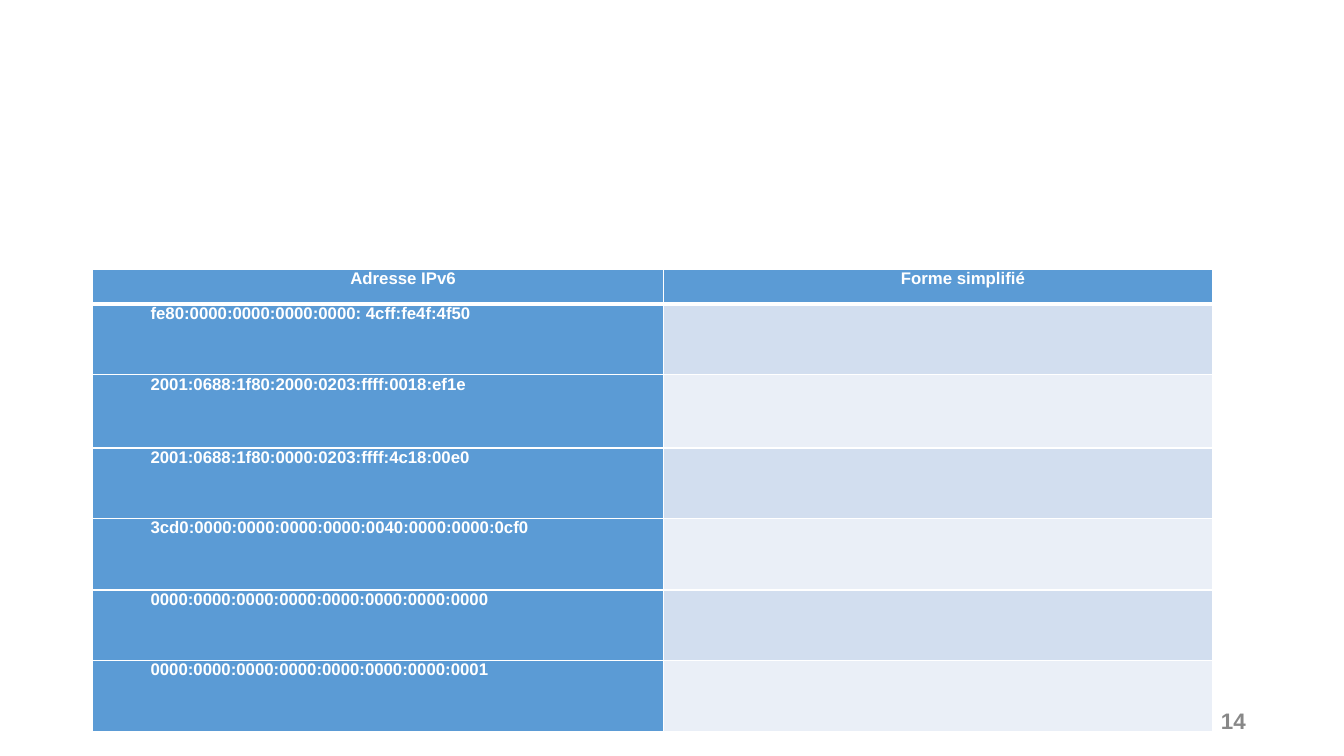
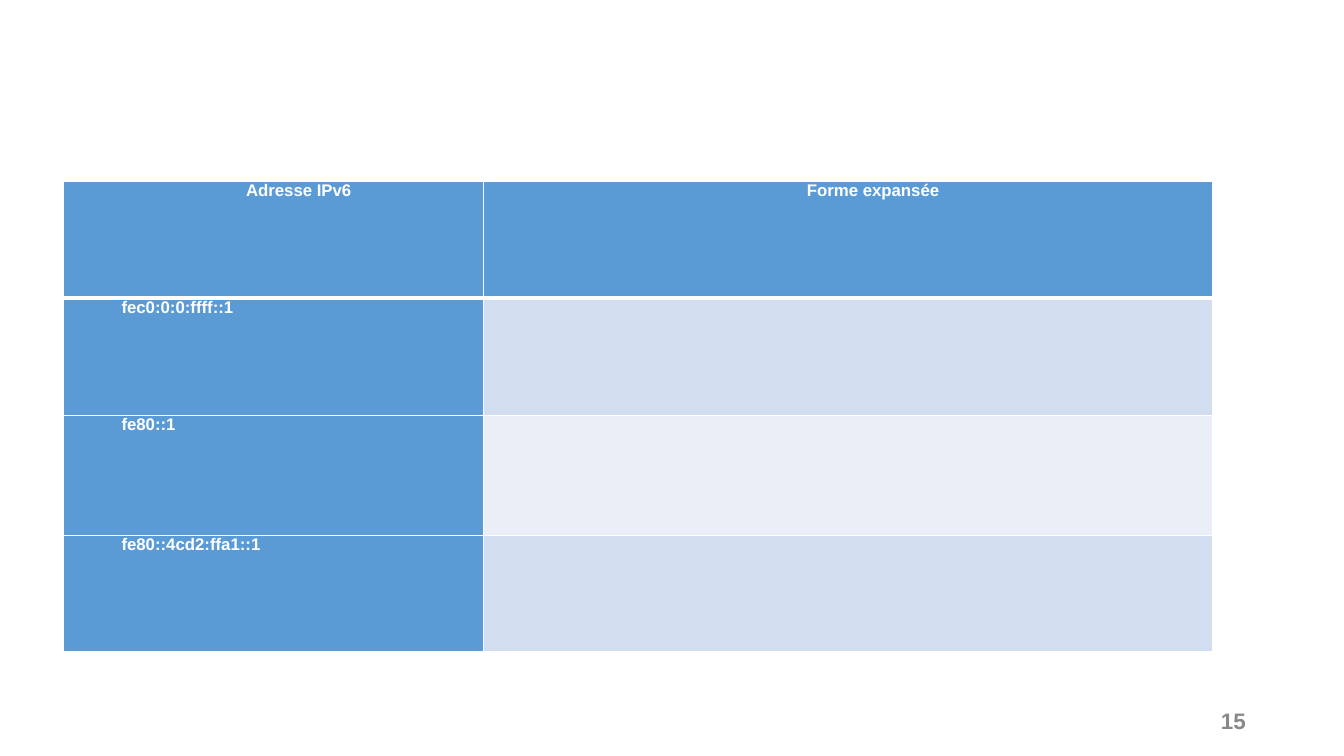
from lxml import etree
from pptx import Presentation
from pptx.dml.color import RGBColor
from pptx.enum.text import MSO_ANCHOR, PP_ALIGN
from pptx.oxml.ns import qn
from pptx.util import Pt

MIDDLE = MSO_ANCHOR.MIDDLE
CENTER, JUST, RIGHT = PP_ALIGN.CENTER, PP_ALIGN.JUSTIFY, PP_ALIGN.RIGHT
FONT = "Arial"
COLORS = {
    "blue": "5B9BD5",
    "dark": "D2DEEF",
    "light": "EAEFF7",
    "white": "FFFFFF",
    "gray": "888888",
}
BLANK = 6
INDENT = Pt(36)
THIN, THICK = Pt(1), Pt(3)

SHORT = [
    "fe80:0000:0000:0000:0000: 4cff:fe4f:4f50",
    "2001:0688:1f80:2000:0203:ffff:0018:ef1e",
    "2001:0688:1f80:0000:0203:ffff:4c18:00e0",
    "3cd0:0000:0000:0000:0000:0040:0000:0000:0cf0",
    "0000:0000:0000:0000:0000:0000:0000:0000",
    "0000:0000:0000:0000:0000:0000:0000:0001",
]
LONG = ["fec0:0:0:ffff::1", "fe80::1", "fe80::4cd2:ffa1::1"]


def color(name):
    return RGBColor.from_string(COLORS[name])


def add_run(para, text, size, hue, align):
    para.alignment = align
    run = para.add_run()
    run.text = text
    font = run.font
    font.name, font.size, font.bold = FONT, Pt(size), True
    font.color.rgb = color(hue)


def add_page(slide, number):
    box = slide.shapes.add_textbox(Pt(866), Pt(492), Pt(27.4), Pt(46))
    frame = box.text_frame
    frame.word_wrap = True
    frame.vertical_anchor = MIDDLE
    frame.margin_left = frame.margin_right = Pt(3.6)
    frame.margin_top = frame.margin_bottom = Pt(3.6)
    add_run(frame.paragraphs[0], str(number), 16, "gray", RIGHT)


def add_edge(cell, place, side, width):
    line = etree.Element(qn(f"a:ln{side}"), w=str(width))
    fill = etree.SubElement(line, qn("a:solidFill"))
    etree.SubElement(fill, qn("a:srgbClr"), val=COLORS["white"])
    cell._tc.get_or_add_tcPr().insert(place, line)


def style_cell(cell, row, hue):
    cell.fill.solid()
    cell.fill.fore_color.rgb = color(hue)
    thick = {0: "B", 1: "T"}.get(row)
    for place, side in enumerate("LRTB"):
        add_edge(cell, place, side, THICK if side == thick else THIN)


def fill_cell(cell, text, align):
    cell.margin_left = cell.margin_right = Pt(5.4)
    cell.margin_top = cell.margin_bottom = 0
    para = cell.text_frame.paragraphs[0]
    add_run(para, text, 12, "white", align)
    para._p.get_or_add_pPr().set("marL", str(INDENT))


def add_grid(slide, left, top, widths, heights, heads, items):
    rows = [heads] + [(item, "") for item in items]
    frame = slide.shapes.add_table(
        len(rows), len(heads), Pt(left), Pt(top), Pt(sum(widths)), Pt(sum(heights)))
    table = frame.table
    table.first_row = table.horz_banding = False
    for col, width in zip(table.columns, widths):
        col.width = Pt(width)
    for row, height in zip(table.rows, heights):
        row.height = Pt(height)
    for r, texts in enumerate(rows):
        for c, text in enumerate(texts):
            cell = table.cell(r, c)
            band = "dark" if r % 2 else "light"
            style_cell(cell, r, "blue" if r == 0 or c == 0 else band)
            if text:
                fill_cell(cell, text, JUST if r else CENTER)


def add_slide(deck, number, *grid):
    slide = deck.slides.add_slide(deck.slide_layouts[BLANK])
    for holder in list(slide.placeholders):
        holder.element.getparent().remove(holder.element)
    add_page(slide, number)
    add_grid(slide, *grid)


def main():
    deck = Presentation()
    deck.slide_width, deck.slide_height = Pt(960), Pt(540)
    add_slide(deck, 14, 66.2, 192.2, [407.5, 392.4],
              [25.2, 50.4, 52.2, 50.4, 51.1, 50.4, 50.4],
              ("Adresse IPv6", "Forme simplifié"), SHORT)
    add_slide(deck, 15, 45.4, 129.6, [300, 520.6],
              [83.5, 83.5, 85.7, 83.5],
              ("Adresse IPv6", "Forme expansée"), LONG)
    deck.save("out.pptx")


if __name__ == "__main__":
    main()
